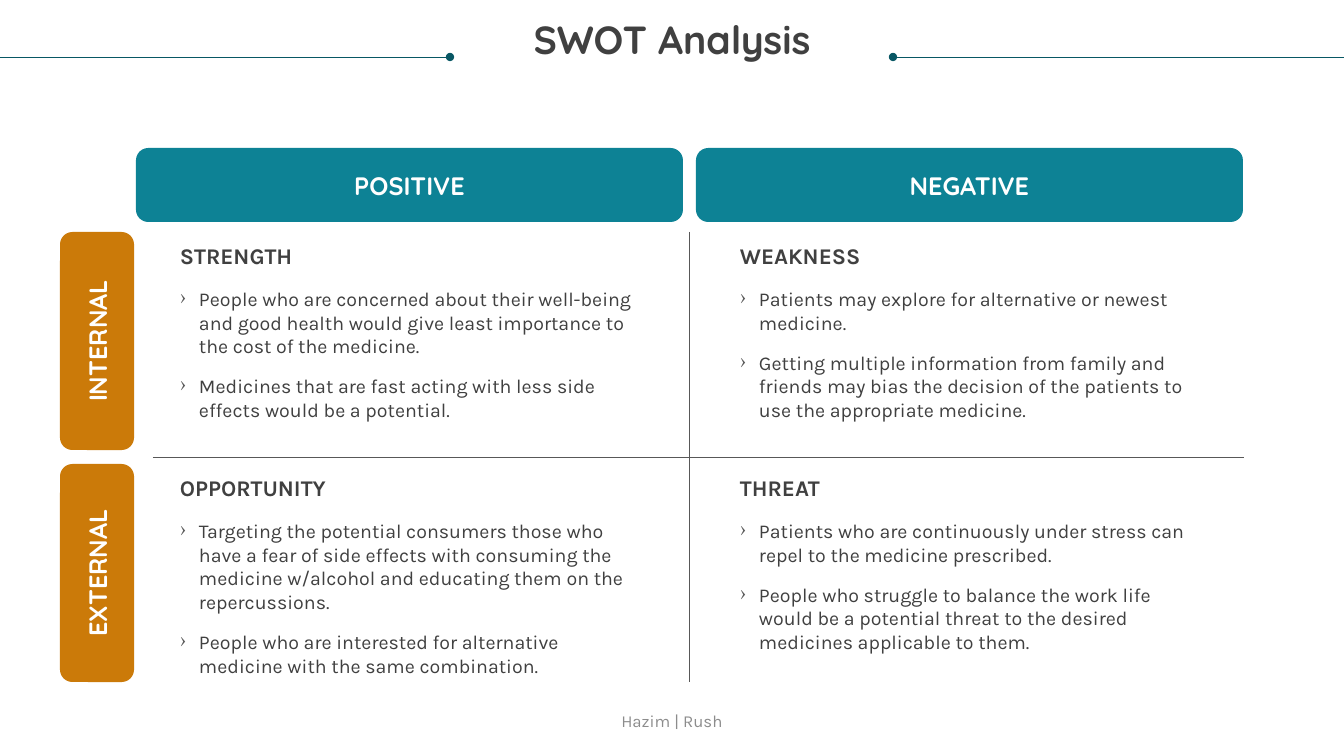
from lxml.etree import SubElement
from pptx import Presentation
from pptx.dml.color import RGBColor
from pptx.enum.shapes import MSO_CONNECTOR, MSO_SHAPE
from pptx.enum.text import MSO_ANCHOR, MSO_AUTO_SIZE, PP_ALIGN
from pptx.oxml.ns import qn
from pptx.util import Pt

PIXEL = 914400 / 100.8
COLORS = {
    "teal": "0D8295",
    "dark teal": "085764",
    "orange": "CB7A09",
    "text": "404040",
    "rule": "585858",
    "footer": "8C8C8C",
    "white": "FFFFFF",
}
COLUMN_STEP, ROW_STEP = 560, 232
INDENT = 19

presentation = Presentation()
presentation.slide_width = round(1344 * PIXEL)
presentation.slide_height = round(756 * PIXEL)
slide = presentation.slides.add_slide(presentation.slide_layouts[6])


def add_text(text, box, size, font="Karla", color="text", bold=False, align=PP_ALIGN.LEFT,
             middle=False, line_spacing=None, bullets=False, fill=None, rotation=0):
    """Add text, one paragraph a line, in a plain box or a filled rounded one."""
    position = [round(value * PIXEL) for value in box]
    if fill:
        shape = slide.shapes.add_shape(MSO_SHAPE.ROUNDED_RECTANGLE, *position)
        shape.shadow.inherit = False
        shape.fill.solid()
        shape.fill.fore_color.rgb = RGBColor.from_string(COLORS[fill])
        shape.line.fill.background()
        shape.rotation = rotation
    else:
        shape = slide.shapes.add_textbox(*position)
    frame = shape.text_frame
    frame.word_wrap = True
    frame.vertical_anchor = MSO_ANCHOR.MIDDLE if middle else MSO_ANCHOR.TOP
    if not middle:
        frame.auto_size = MSO_AUTO_SIZE.SHAPE_TO_FIT_TEXT
        frame.margin_left = frame.margin_top = frame.margin_right = frame.margin_bottom = 0
    frame.text = text
    for paragraph in frame.paragraphs:
        paragraph.alignment = align
        if line_spacing:
            paragraph.line_spacing = line_spacing
        for run in paragraph.runs:
            run.font.name = font
            run.font.size = Pt(size)
            run.font.bold = bold
            run.font.color.rgb = RGBColor.from_string(COLORS[color])
        if bullets:
            paragraph.space_before = Pt(12)
            properties = paragraph._p.get_or_add_pPr()
            properties.set("marL", str(round(INDENT * PIXEL)))
            properties.set("indent", str(round(-INDENT * PIXEL)))
            bullet_color = SubElement(properties, qn("a:buClr"))
            SubElement(bullet_color, qn("a:srgbClr"), val=COLORS["rule"])
            SubElement(properties, qn("a:buChar"), char="›")


def add_line(start, end, color, dot_at=None):
    """Add a thin line, with a dot at its headEnd or tailEnd if asked."""
    line = slide.shapes.add_connector(
        MSO_CONNECTOR.STRAIGHT, *[round(value * PIXEL) for value in (*start, *end)])
    line.line.width = Pt(0.5)
    line.line.color.rgb = RGBColor.from_string(COLORS[color])
    if dot_at:
        SubElement(line.line._get_or_add_ln(), qn(f"a:{dot_at}"), type="oval")
    SubElement(line._element.spPr, qn("a:effectLst"))


# Title between two dotted lines
add_line((893, 57), (1344, 57), "dark teal", dot_at="headEnd")
add_text("SWOT Analysis", (25, 21, 1294, 74), 28, font="Quicksand", bold=True,
         align=PP_ALIGN.CENTER, line_spacing=0.9)
add_line((0, 57), (450, 57), "dark teal", dot_at="tailEnd")

# Column and row headers
header_format = dict(size=18, font="Quicksand", color="white", bold=True,
                     align=PP_ALIGN.CENTER, middle=True)
for column, label in enumerate(["POSITIVE", "NEGATIVE"]):
    add_text(label, (136 + column * COLUMN_STEP, 148, 547, 74), fill="teal", **header_format)
for row, label in enumerate(["INTERNAL", "EXTERNAL"]):
    add_text(label, (-12, 304 + row * ROW_STEP, 218, 74), fill="orange", rotation=270,
             **header_format)

# Cross between the quadrants
add_line((153, 457), (1244, 457), "rule")
add_line((689, 232), (689, 682), "rule")

# Quadrants, row by row
quadrants = [
    ("STRENGTH", [
        "People who are concerned about their well-being and good health would give least "
        "importance to the cost of the medicine.",
        "Medicines that are fast acting with less side effects would be a potential."]),
    ("WEAKNESS", [
        "Patients may explore for alternative or newest medicine.",
        "Getting multiple information from family and friends may bias the decision of the "
        "patients to use the appropriate medicine."]),
    ("OPPORTUNITY", [
        "Targeting the potential consumers those who have a fear of side effects with consuming "
        "the medicine w/alcohol and educating them on the repercussions.",
        "People who are interested for alternative medicine with the same combination."]),
    ("THREAT", [
        "Patients who are continuously under stress can repel to the medicine prescribed.",
        "People who struggle to balance the work life would be a potential threat to the desired "
        "medicines applicable to them."]),
]
for index, (heading, points) in enumerate(quadrants):
    row, column = divmod(index, 2)
    left, offset = 180 + column * COLUMN_STEP, row * ROW_STEP
    add_text(heading, (left, 242 + offset, 459, 27), 16, bold=True)
    add_text("\n".join(points), (left, 287 + offset, 459, 136), 14, bullets=True)

add_text("Hazim | Rush", (445, 701, 454, 40), 12, color="footer", align=PP_ALIGN.CENTER,
         middle=True)

presentation.save("out.pptx")
